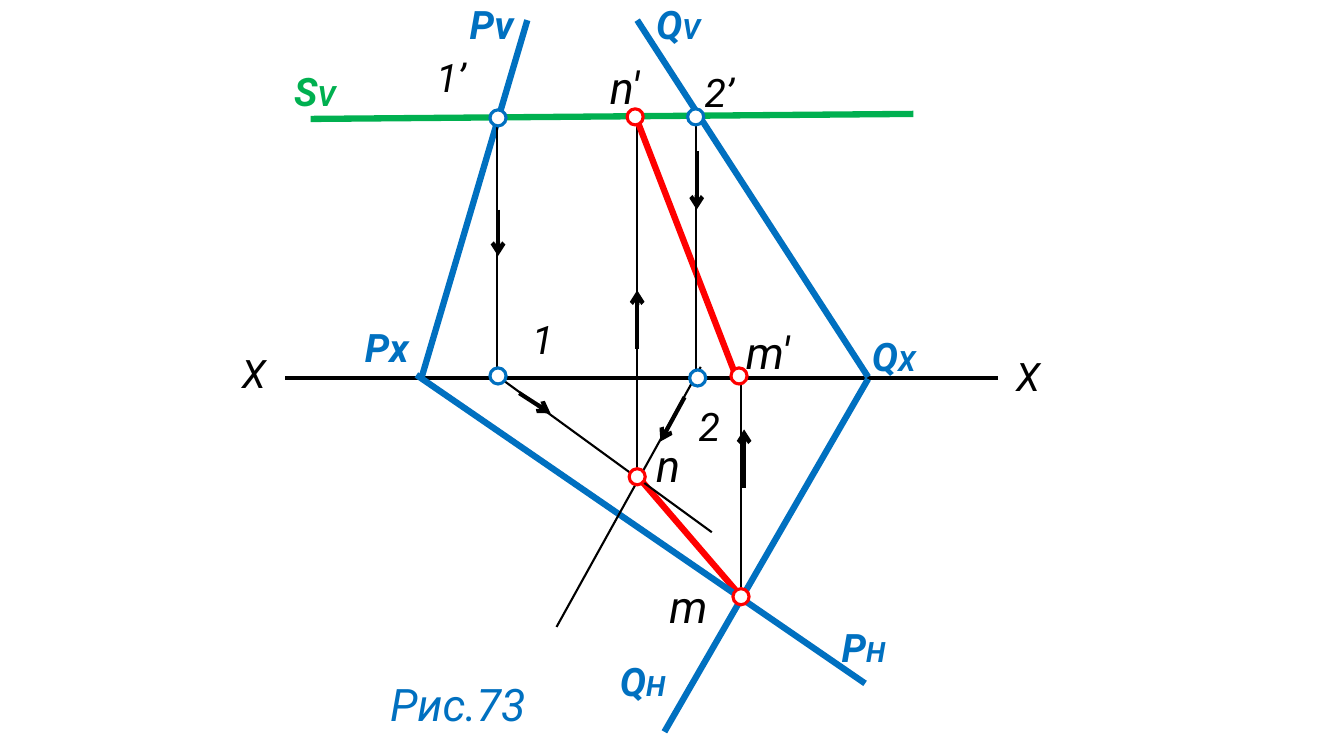
import dataclasses

import lxml.etree
import pptx
import pptx.dml.color
import pptx.enum.shapes
import pptx.enum.text
import pptx.oxml.ns
import pptx.util


@dataclasses.dataclass(frozen=True)
class Theme:
    """Hold the grid cell, colours, type sizes and line widths."""
    cell: int = pptx.util.Inches(1)
    cols: float = 13.33
    rows: float = 7.5
    font: str = "Roboto"
    black: str = "000000"
    white: str = "FFFFFF"
    red: str = "FF0000"
    blue: str = "0070C0"
    green: str = "00B050"
    big: int = 32
    main: int = 28
    small: int = 20
    thin: float = 1.5
    rim: float = 2.25
    mid: float = 3
    thick: float = 4.5
    ring: float = 0.16


THEME = Theme()


def span(count):
    """Turn a count of grid cells into a length."""
    return pptx.util.Emu(round(count * THEME.cell))


def rgb(code):
    """Turn a hex code into a colour."""
    return pptx.dml.color.RGBColor.from_string(code)


def add_tag(node, name, **attrs):
    """Append a drawing element to a node."""
    lxml.etree.SubElement(node, pptx.oxml.ns.qn(name), **attrs)


def add_line(slide, start, end, color=THEME.black, width=THEME.thin, arrow=False):
    """Draw a straight line, with an arrow at its end if asked."""
    kind = pptx.enum.shapes.MSO_CONNECTOR.STRAIGHT
    line = slide.shapes.add_connector(kind, *map(span, (*start, *end)))
    line.line.color.rgb = rgb(color)
    line.line.width = pptx.util.Pt(width)
    props = line._element.spPr
    if arrow:
        add_tag(props.find(pptx.oxml.ns.qn("a:ln")), "a:tailEnd", type="arrow")
    add_tag(props, "a:effectLst")


def add_ring(slide, center, color):
    """Mark a point with a white ring."""
    size = THEME.ring
    left, top = (value - size / 2 for value in center)
    kind = pptx.enum.shapes.MSO_SHAPE.OVAL
    ring = slide.shapes.add_shape(kind, *map(span, (left, top, size, size)))
    ring.shadow.inherit = False
    ring.fill.solid()
    ring.fill.fore_color.rgb = rgb(THEME.white)
    ring.line.color.rgb = rgb(color)
    ring.line.width = pptx.util.Pt(THEME.rim)


def add_text(slide, text, left, top, width, sub="", size=THEME.main,
             color=THEME.black, bold=False):
    """Write an italic label with an optional smaller suffix."""
    high = 0.64 if size == THEME.big else 0.57
    box = slide.shapes.add_textbox(*map(span, (left, top, width, high)))
    frame = box.text_frame
    frame.word_wrap = True
    frame.auto_size = pptx.enum.text.MSO_AUTO_SIZE.SHAPE_TO_FIT_TEXT
    for part, points in ((text, size), (sub, THEME.small)):
        if part:
            run = frame.paragraphs[0].add_run()
            run.text = part
            font = run.font
            font.name, font.size = THEME.font, pptx.util.Pt(points)
            font.bold, font.italic = bold, True
            font.color.rgb = rgb(color)


def add_lines(slide):
    """Draw the axis, plane traces and lines of projection."""
    add_line(slide, (6.32, 1.13), (6.32, 4.75))
    add_line(slide, (7.35, 3.74), (7.35, 5.94))
    add_line(slide, (7.3, 5.86), (6.38, 4.79), THEME.red, THEME.thick)
    add_line(slide, (9.9, 3.75), (2.83, 3.75), width=THEME.mid)
    for start, end in (
        ((5.23, 0.2), (4.18, 3.75)),
        ((8.58, 6.78), (4.13, 3.72)),
        ((8.61, 3.74), (6.32, 0.2)),
        ((8.61, 3.76), (6.59, 7.26)),
    ):
        add_line(slide, start, end, THEME.blue, THEME.thick)
    add_line(slide, (7.33, 3.81), (6.31, 1.17), THEME.red, THEME.thick)
    add_line(slide, (9.06, 1.13), (3.08, 1.18), THEME.green, THEME.thick)
    for start, end in (
        ((6.9, 1.18), (6.9, 3.79)),
        ((4.93, 1.18), (4.93, 3.74)),
        ((4.96, 3.75), (7.06, 5.28)),
        ((6.95, 3.64), (5.52, 6.22)),
    ):
        add_line(slide, start, end)


def add_rings(slide):
    """Mark the points of the two projections."""
    for center in ((7.35, 5.92), (7.33, 3.73), (6.32, 4.73), (6.3, 1.16)):
        add_ring(slide, center, THEME.red)
    for center in ((6.92, 3.75), (6.9, 1.16), (4.94, 1.17), (4.94, 3.73)):
        add_ring(slide, center, THEME.blue)


def add_arrows(slide):
    """Show the direction of each projection."""
    for start, end in (
        ((6.79, 3.94), (6.55, 4.38)),
        ((5.15, 3.9), (5.46, 4.1)),
        ((6.91, 1.5), (6.91, 2.08)),
        ((4.94, 2.08), (4.94, 2.54)),
        ((6.32, 3.46), (6.32, 2.88)),
        ((7.38, 4.84), (7.38, 4.26)),
    ):
        add_line(slide, start, end, width=THEME.mid, arrow=True)


def add_labels(slide):
    """Name the axis, traces and points."""
    for text, sub, left, top, width in (
        ("Q", "H", 6.05, 6.47, 0.81),
        ("Q", "V", 6.41, -0.05, 0.7),
        ("Q", "X", 8.55, 3.25, 0.7),
        ("P", "H", 8.25, 6.13, 0.89),
        ("Pv", "", 4.56, -0.05, 0.89),
        ("Px", "", 3.52, 3.16, 0.89),
    ):
        add_text(slide, text, left, top, width, sub=sub, color=THEME.blue, bold=True)
    add_text(slide, "S", 2.82, 0.62, 0.7, sub="V", color=THEME.green, bold=True)
    for text, left, top, width in (
        ("X", 9.98, 3.45, 0.89),
        ("X", 2.3, 3.42, 0.66),
        ("1’", 4.23, 0.48, 0.58),
        ("1", 5.18, 3.08, 0.43),
        ("2", 6.83, 3.94, 0.43),
        ("2’", 6.89, 0.63, 0.52),
    ):
        add_text(slide, text, left, top, width)
    for text, left, top, width in (
        ("n", 6.41, 4.29, 0.43),
        ("n'", 5.95, 0.54, 0.69),
        ("m'", 7.3, 3.17, 0.69),
        ("m", 6.54, 5.69, 0.43),
    ):
        add_text(slide, text, left, top, width, size=THEME.big)
    add_text(slide, "Рис.73", 3.77, 6.66, 1.78, size=THEME.big, color=THEME.blue)


def main():
    """Build the slide and save it."""
    deck = pptx.Presentation()
    deck.slide_width, deck.slide_height = span(THEME.cols), span(THEME.rows)
    slide = deck.slides.add_slide(deck.slide_layouts[6])
    add_lines(slide)
    add_rings(slide)
    add_labels(slide)
    add_arrows(slide)
    deck.save("out.pptx")


if __name__ == "__main__":
    main()
